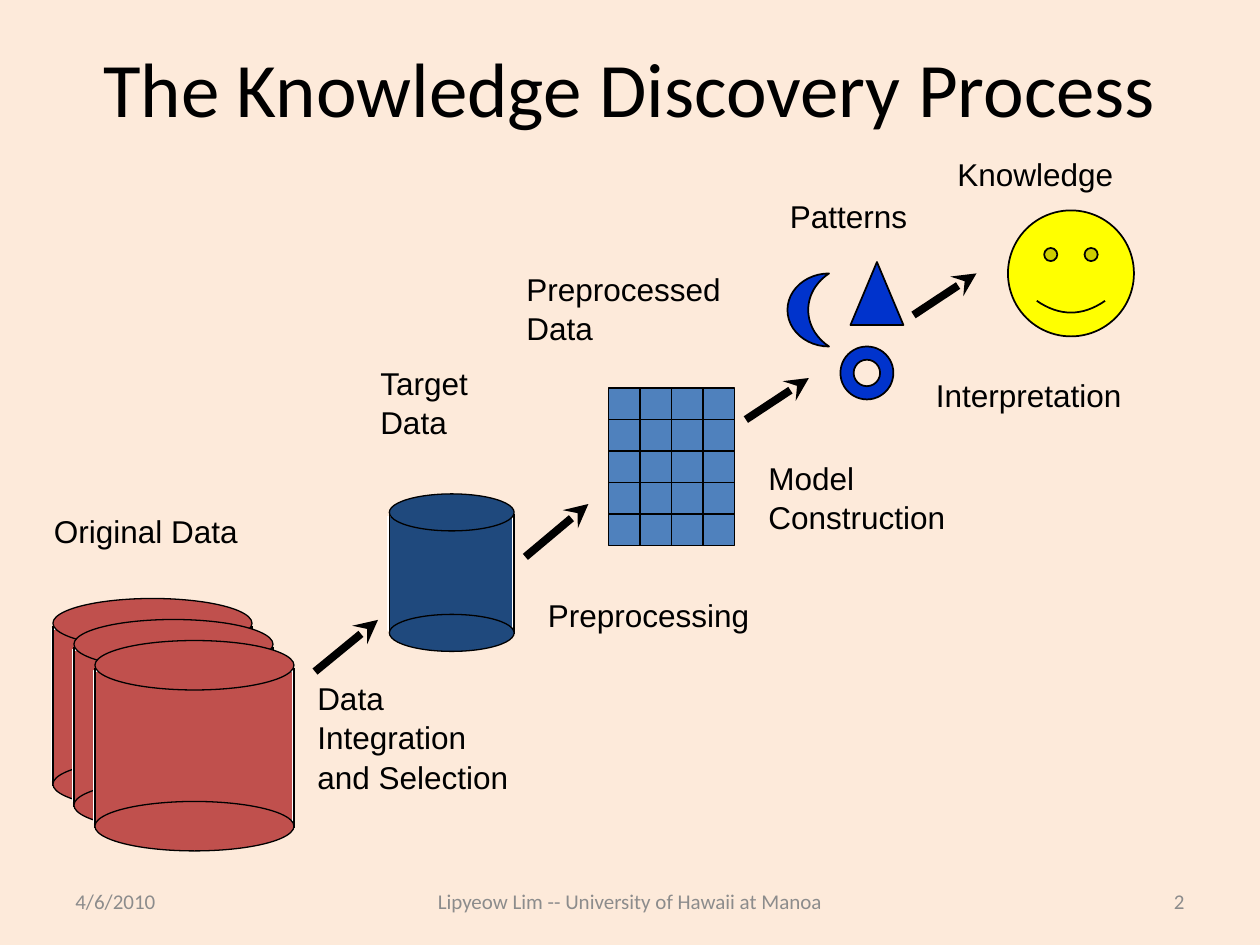
from dataclasses import dataclass

from lxml.etree import SubElement
from pptx import Presentation
from pptx.dml.color import RGBColor
from pptx.enum.shapes import MSO_CONNECTOR, MSO_SHAPE
from pptx.enum.text import MSO_ANCHOR, PP_ALIGN
from pptx.oxml.ns import qn
from pptx.util import Inches, Pt

HUES = {
    "back": "FDEADA",
    "ink": "000000",
    "white": "FFFFFF",
    "gray": "8C8C8C",
    "red": "C0504D",
    "navy": "1F497D",
    "steel": "4F81BD",
    "blue": "0033CC",
    "gold": "FFFF00",
}


@dataclass
class Box:
    left: float
    top: float
    width: float
    height: float

    def place(self) -> list:
        return [Inches(v) for v in (self.left, self.top, self.width, self.height)]


@dataclass
class Drum:
    box: Box
    hue: str


@dataclass
class Label:
    words: str
    box: Box


@dataclass
class Footer:
    words: str
    box: Box
    align: PP_ALIGN


@dataclass
class Icon:
    kind: MSO_SHAPE
    box: Box
    hue: str


def tint(name: str) -> RGBColor:
    return RGBColor.from_string(HUES[name])


def style(font, name: str, size: int, hue: str = "ink") -> None:
    for key, value in {"name": name, "size": Pt(size)}.items():
        setattr(font, key, value)
    font.color.rgb = tint(hue)


def draw_shape(slide, kind: MSO_SHAPE, box: Box, hue: str,
               edge: str = "ink", weight: float = 1):
    shape = slide.shapes.add_shape(kind, *box.place())
    shape.shadow.inherit = False
    shape.fill.solid()
    shape.fill.fore_color.rgb = tint(hue)
    shape.line.color.rgb = tint(edge)
    shape.line.width = Pt(weight)
    return shape


def draw_line(slide, start: tuple, end: tuple, weight: float = 1,
              arrow: bool = False):
    line = slide.shapes.add_connector(
        MSO_CONNECTOR.STRAIGHT, *[Inches(v) for v in start + end])
    line.line.color.rgb = tint("ink")
    line.line.width = Pt(weight)
    props = line._element.spPr
    if arrow:
        SubElement(props.find(qn("a:ln")), qn("a:tailEnd"), type="stealth")
    SubElement(props, qn("a:effectLst"))
    return line


def draw_drum(slide, drum: Drum) -> None:
    box = drum.box
    lid = 0.235 * box.height
    core = Box(box.left - 0.01, box.top + 0.145 * box.height,
               box.width, 0.72 * box.height)
    draw_shape(slide, MSO_SHAPE.RECTANGLE, core, drum.hue, "white", 0.75)
    for x in (box.left, box.left + box.width):
        draw_line(slide, (x, box.top + 0.13 * box.height),
                  (x, box.top + 0.89 * box.height), 0.75)
    for y in (box.top, box.top + box.height - lid):
        draw_shape(slide, MSO_SHAPE.OVAL, Box(box.left, y, box.width, lid),
                   drum.hue, weight=0.75)


def draw_grid(slide, box: Box, rows: int, cols: int) -> None:
    frame = draw_shape(slide, MSO_SHAPE.RECTANGLE, box, "steel")
    right, base = box.left + box.width, box.top + box.height
    for row in range(1, rows):
        y = box.top + row * box.height / rows
        draw_line(slide, (box.left, y), (right, y))
    for col in range(1, cols):
        x = box.left + col * box.width / cols
        line = draw_line(slide, (x, box.top), (x, base))
        if col * 2 == cols:
            line.begin_connect(frame, 0)
            line.end_connect(frame, 2)


def draw_text(slide, words: str, box: Box):
    frame = slide.shapes.add_textbox(*box.place()).text_frame
    frame.word_wrap = True
    para = frame.paragraphs[0]
    para.text = words
    return frame, para


def draw_label(slide, label: Label) -> None:
    frame, para = draw_text(slide, label.words, label.box)
    para.line_spacing = 1.04
    style(para.font, "Arial", 18)


def draw_footer(slide, footer: Footer) -> None:
    frame, para = draw_text(slide, footer.words, footer.box)
    frame.vertical_anchor = MSO_ANCHOR.MIDDLE
    para.alignment = footer.align
    style(para.font, "Calibri", 12, "gray")


def draw_title(slide, words: str, box: Box) -> None:
    title = slide.shapes.title
    for key, value in zip(("left", "top", "width", "height"), box.place()):
        setattr(title, key, value)
    title.text_frame.text = words
    title.text_frame.vertical_anchor = MSO_ANCHOR.MIDDLE
    para = title.text_frame.paragraphs[0]
    para.alignment = PP_ALIGN.CENTER
    style(para.font, "Calibri", 44)


STEP = 1 / 6
DRUMS = [Drum(Box(0.42 + i * STEP, 4.75 + i * STEP, 1.58, 1.67), "red")
         for i in range(3)]
DRUMS.append(Drum(Box(3.09, 3.92, 0.99, 1.25), "navy"))

ICONS = [
    Icon(MSO_SHAPE.MOON, Box(6.25, 2.17, 0.33, 0.58), "blue"),
    Icon(MSO_SHAPE.ISOSCELES_TRIANGLE, Box(6.75, 2.08, 0.42, 0.5), "blue"),
    Icon(MSO_SHAPE.DONUT, Box(6.67, 2.75, 0.42, 0.42), "blue"),
    Icon(MSO_SHAPE.SMILEY_FACE, Box(8, 1.67, 1, 1), "gold"),
]

ARROWS = [
    ((2.5, 5.33), (3, 4.92)),
    ((4.17, 4.42), (4.67, 4)),
    ((5.92, 3.33), (6.42, 3)),
    ((7.25, 2.5), (7.75, 2.17)),
]

LABELS = [
    Label("Original Data", Box(0.33, 4, 2.22, 0.5)),
    Label("Target\nData", Box(2.92, 2.83, 1.16, 0.9)),
    Label("Preprocessed\nData", Box(4.08, 2.08, 2.16, 0.9)),
    Label("Patterns", Box(6.17, 1.5, 1.41, 0.5)),
    Label("Data\nIntegration\nand Selection", Box(2.42, 5.33, 2.17, 1.3)),
    Label("Preprocessing", Box(4.25, 4.67, 2.27, 0.5)),
    Label("Model\nConstruction", Box(6, 3.58, 2.13, 0.9)),
    Label("Interpretation", Box(7.33, 2.92, 2.26, 0.5)),
    Label("Knowledge", Box(7.5, 1.17, 1.9, 0.5)),
]

FOOTERS = [
    Footer("4/6/2010", Box(0.5, 6.95, 2.33, 0.4), PP_ALIGN.LEFT),
    Footer("Lipyeow Lim -- University of Hawaii at Manoa",
           Box(3, 6.95, 4, 0.4), PP_ALIGN.CENTER),
    Footer("2", Box(7.17, 6.95, 2.33, 0.4), PP_ALIGN.RIGHT),
]


def main() -> None:
    deck = Presentation()
    deck.slide_width, deck.slide_height = Inches(10), Inches(7.5)
    slide = deck.slides.add_slide(deck.slide_layouts[5])
    slide.background.fill.solid()
    slide.background.fill.fore_color.rgb = tint("back")
    draw_title(slide, "The Knowledge Discovery Process", Box(0.5, 0.3, 9, 0.78))
    for footer in FOOTERS:
        draw_footer(slide, footer)
    for drum in DRUMS:
        draw_drum(slide, drum)
    draw_grid(slide, Box(4.83, 3.08, 1, 1.25), 5, 4)
    for icon in ICONS:
        draw_shape(slide, icon.kind, icon.box, icon.hue)
    for start, end in ARROWS:
        draw_line(slide, start, end, 4.5, arrow=True)
    for label in LABELS:
        draw_label(slide, label)
    deck.save("out.pptx")


if __name__ == "__main__":
    main()
